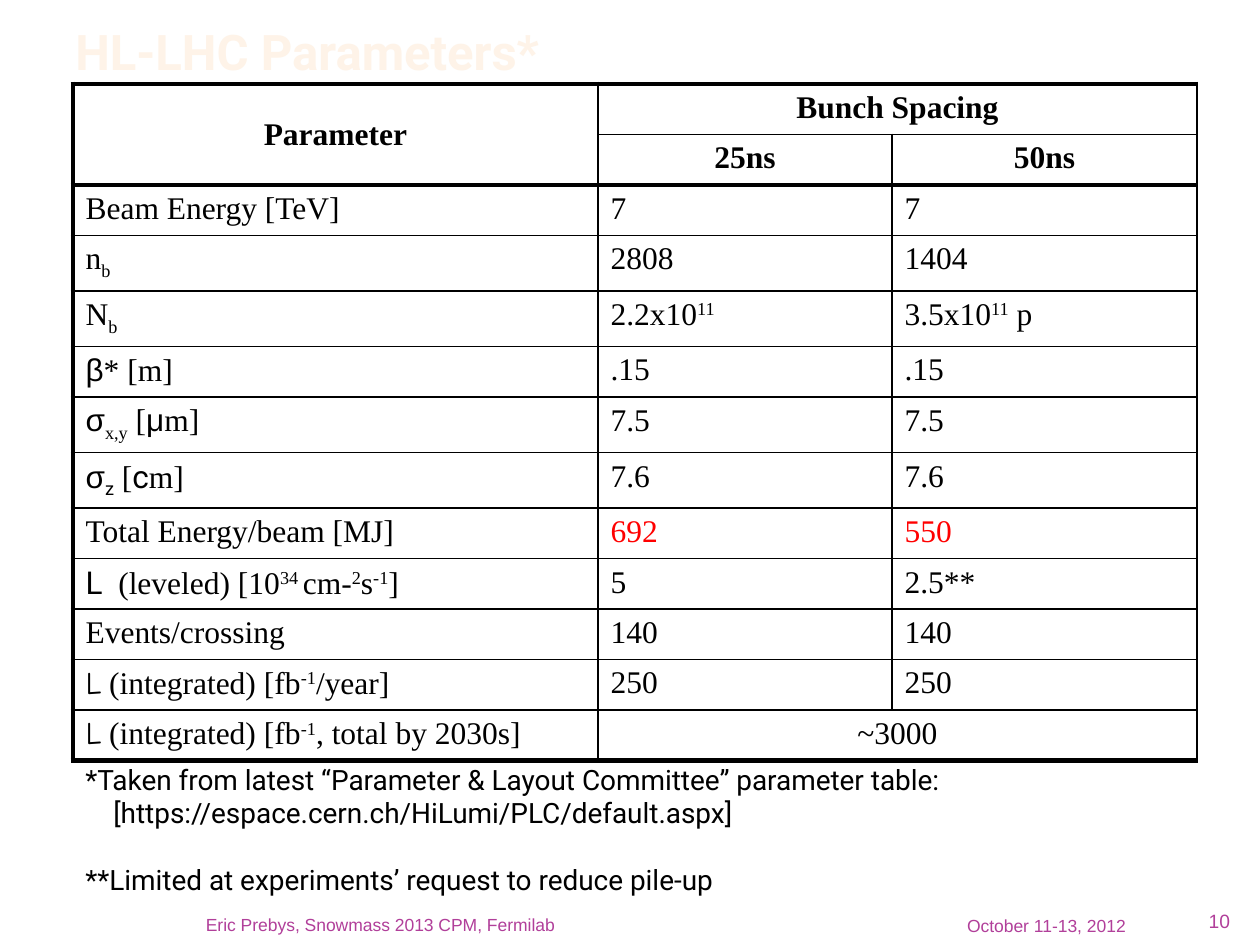
"""Build the HL-LHC parameters slide."""
from dataclasses import dataclass
from typing import NamedTuple, Optional

from lxml import etree
from pptx import Presentation, util as u
from pptx.dml.color import RGBColor
from pptx.enum import text
from pptx.oxml import ns

PX_PER_INCH = 126


@dataclass(frozen=True)
class Theme:
    """Colours, fonts and type sizes of the slide."""
    ink: str = "000000"
    alert: str = "FF0000"
    footer: str = "B13F9A"
    title_outline: str = "5E1A50"
    title_stops: tuple = ((0, "FEF7F1"), (10, "FEF3E8"), (49, "FBCF9C"),
                          (50, "F9B94C"), (100, "FEF3E8"))
    serif: str = "Times New Roman"
    sans: str = "Arial"
    display: str = "Roboto"
    script: str = "Comic Neue"
    title_size: int = 28
    table_size: int = 18
    note_size: int = 16
    footer_size: int = 10
    number_size: int = 11
    thin: int = 1
    thick: int = 3


THEME = Theme()


class Piece(NamedTuple):
    """A stretch of table text with its own format."""
    text: str
    font: str = THEME.serif
    baseline: int = 0
    color: str = THEME.ink


def sub(label, font=THEME.serif):
    """Return a subscript piece."""
    return Piece(label, font, -25)


def sup(label):
    """Return a superscript piece."""
    return Piece(label, baseline=30)


def alert(label):
    """Return a highlighted piece."""
    return Piece(label, color=THEME.alert)


def integrated(unit_end):
    """Return the label of an integrated luminosity row."""
    return [Piece("L", THEME.script), " (integrated) [fb", sup("-1"), unit_end]


HEADER_ROWS = 2
ROWS = [
    ("Parameter", "Bunch Spacing", None),
    (None, "25ns", "50ns"),
    ("Beam Energy [TeV]", "7", "7"),
    (["n", sub("b")], "2808", "1404"),
    (["N", sub("b")], ["2.2x10", sup("11")], ["3.5x10", sup("11"), " p"]),
    ([Piece("β", THEME.sans), "* [m]"], ".15", ".15"),
    ([Piece("σ", THEME.sans), sub("x,y"), " [", Piece("μ", THEME.sans), "m]"], "7.5", "7.5"),
    ([Piece("σ", THEME.sans), sub("z", THEME.display), " [", Piece("c", THEME.display), "m]"],
     "7.6", "7.6"),
    ("Total Energy/beam [MJ]", [alert("692")], [alert("550")]),
    ([Piece("L ", THEME.display), " (leveled) [10", sup("34 "), "cm-", sup("2"), "s",
      sup("-1"), "]"], "5", "2.5**"),
    ("Events/crossing", "140", "140"),
    (integrated("/year]"), "250", "250"),
    (integrated(", total by 2030s]"), "~3000", None),
]
MERGES = (((0, 0), (1, 0)), ((0, 1), (0, 2)), ((12, 1), (12, 2)))
COLUMN_WIDTHS = (525, 294, 305)
ROW_HEIGHT = 47


def px(length):
    """Turn pixels into EMU."""
    return u.Emu(round(length * u.Inches(1) / PX_PER_INCH))


def add_run(paragraph, label, font, size, color: Optional[str], bold=False, baseline=0):
    """Add one formatted run to a paragraph."""
    run = paragraph.add_run()
    run.text = label
    run.font.name, run.font.size, run.font.bold = font, u.Pt(size), bold
    if color:
        run.font.color.rgb = RGBColor.from_string(color)
    if baseline:
        run.font._element.set("baseline", str(baseline * 1000))
    return run


def add_solid_fill(parent, color):
    """Append a solid fill element."""
    fill = etree.SubElement(parent, ns.qn("a:solidFill"))
    etree.SubElement(fill, ns.qn("a:srgbClr"), val=color)


def add_title(slide, label):
    """Place the title and give it an outlined gradient fill."""
    title = slide.shapes.title
    title.left, title.top, title.width, title.height = px(69), px(16), px(1171), px(64)
    frame = title.text_frame
    frame.vertical_anchor = text.MSO_ANCHOR.BOTTOM
    frame.auto_size = text.MSO_AUTO_SIZE.NONE
    frame.margin_left = frame.margin_right = u.Inches(0.05)
    frame.margin_top = frame.margin_bottom = 0
    paragraph = frame.paragraphs[0]
    paragraph.alignment = text.PP_ALIGN.LEFT
    run = add_run(paragraph, label, THEME.display, THEME.title_size, None, bold=True)
    properties = run.font._element
    outline = etree.Element(ns.qn("a:ln"), w="500")
    add_solid_fill(outline, THEME.title_outline)
    gradient = etree.Element(ns.qn("a:gradFill"))
    stops = etree.SubElement(gradient, ns.qn("a:gsLst"))
    for position, color in THEME.title_stops:
        stop = etree.SubElement(stops, ns.qn("a:gs"), pos=str(position * 1000))
        etree.SubElement(stop, ns.qn("a:srgbClr"), val=color)
    etree.SubElement(gradient, ns.qn("a:lin"), ang="5400000")
    properties.insert(0, outline)
    properties.insert(1, gradient)


def add_text_box(slide, left, top, width, height):
    """Add a wrapping text box and return its frame."""
    frame = slide.shapes.add_textbox(px(left), px(top), px(width), px(height)).text_frame
    frame.word_wrap = True
    return frame


def add_footer(slide, label, box, size, side_inset):
    """Add a right-aligned footer text."""
    frame = add_text_box(slide, *box)
    frame.vertical_anchor = text.MSO_ANCHOR.BOTTOM
    frame.margin_left = frame.margin_right = u.Inches(side_inset)
    frame.margin_top = frame.margin_bottom = 0
    paragraph = frame.paragraphs[0]
    paragraph.alignment = text.PP_ALIGN.RIGHT
    add_run(paragraph, label, THEME.sans, size, THEME.footer)


def set_borders(cell, row, column):
    """Draw thick lines around the header and frame, thin ones elsewhere."""
    heavy_rows = (0, HEADER_ROWS, len(ROWS))
    bottom = row + (cell.span_height if cell.is_merge_origin else 1)
    heavy = {"L": column == 0, "R": False, "T": row in heavy_rows, "B": bottom in heavy_rows}
    properties = cell._tc.get_or_add_tcPr()
    for side, is_heavy in heavy.items():
        width = u.Pt(THEME.thick if is_heavy else THEME.thin)
        line = etree.SubElement(properties, ns.qn(f"a:ln{side}"), w=str(width))
        add_solid_fill(line, THEME.ink)


def fill_cell(cell, content, is_header):
    """Write the pieces of one cell."""
    paragraph = cell.text_frame.paragraphs[0]
    if is_header or cell.is_merge_origin:
        paragraph.alignment = text.PP_ALIGN.CENTER
    for item in [content] if isinstance(content, str) else content:
        piece = Piece(item) if isinstance(item, str) else item
        add_run(paragraph, piece.text, piece.font, THEME.table_size, piece.color,
                is_header, piece.baseline)


def add_parameter_table(slide):
    """Add the table of beam parameters."""
    frame = slide.shapes.add_table(len(ROWS), len(COLUMN_WIDTHS), px(73), px(84),
                                   px(sum(COLUMN_WIDTHS)), px(ROW_HEIGHT * len(ROWS)))
    table = frame.table
    table.first_row = table.horz_banding = False
    for column, width in zip(table.columns, COLUMN_WIDTHS):
        column.width = px(width)
    for start, end in MERGES:
        table.cell(*start).merge(table.cell(*end))
    for row, contents in enumerate(ROWS):
        for column, content in enumerate(contents):
            cell = table.cell(row, column)
            set_borders(cell, row, column)
            cell.fill.background()
            if content:
                fill_cell(cell, content, row < HEADER_ROWS)
    table.cell(0, 0).vertical_anchor = text.MSO_ANCHOR.MIDDLE


def add_notes(slide, notes):
    """Add footnotes whose further lines hang under the first."""
    frame = add_text_box(slide, 73, 756, 1134, 149)
    for index, lines in enumerate(notes):
        paragraph = frame.add_paragraph() if index else frame.paragraphs[0]
        properties = paragraph._p.get_or_add_pPr()
        properties.set("marL", str(px(28)))
        properties.set("indent", str(-px(28)))
        if index:
            paragraph.space_before = u.Pt(19)
        for number, line in enumerate(lines):
            if number:
                paragraph.add_line_break()
            add_run(paragraph, line, THEME.display, THEME.note_size, THEME.ink)


def main():
    """Build and save the presentation."""
    presentation = Presentation()
    presentation.slide_width, presentation.slide_height = px(1260), px(945)
    slide = presentation.slides.add_slide(presentation.slide_layouts[5])
    add_title(slide, "HL-LHC Parameters*")
    add_footer(slide, "October 11-13, 2012", (726, 905, 412, 31), THEME.footer_size, 0.1)
    add_footer(slide, "Eric Prebys, Snowmass 2013 CPM, Fermilab", (63, 904, 504, 31),
               THEME.footer_size, 0.1)
    add_footer(slide, "10", (1149, 901, 81, 31), THEME.number_size, 0)
    add_parameter_table(slide)
    add_notes(slide, [
        ("*Taken from latest “Parameter & Layout Committee” parameter table:",
         "[https://espace.cern.ch/HiLumi/PLC/default.aspx]"),
        ("**Limited at experiments’ request to reduce pile-up",),
    ])
    presentation.save("out.pptx")


if __name__ == "__main__":
    main()
